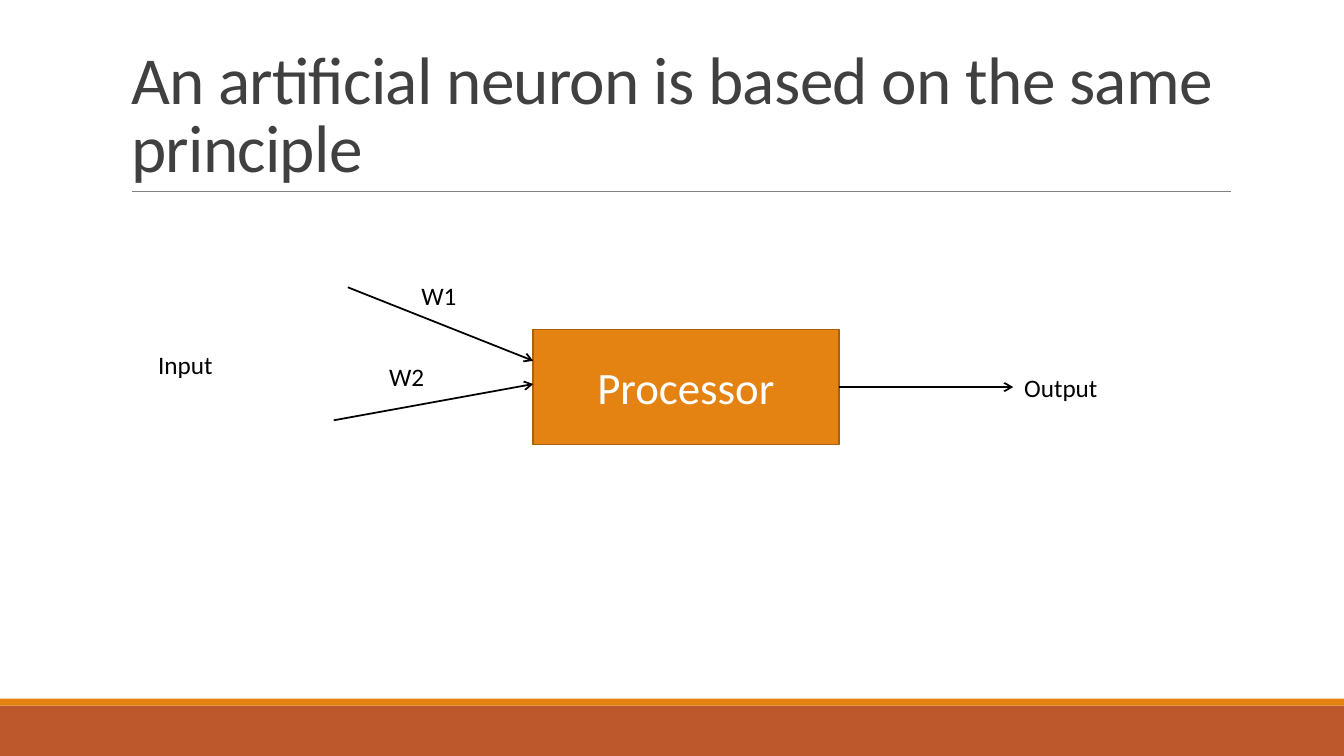
from dataclasses import dataclass

from lxml.etree import SubElement
from pptx import Presentation
from pptx.dml.color import RGBColor
from pptx.enum.shapes import MSO_CONNECTOR, MSO_SHAPE
from pptx.enum.text import MSO_ANCHOR, MSO_AUTO_SIZE, PP_ALIGN
from pptx.oxml.ns import qn
from pptx.shapes.autoshape import Shape
from pptx.shapes.connector import Connector
from pptx.slide import Slide
from pptx.text.text import TextFrame
from pptx.util import Inches, Pt

WIDTH, HEIGHT = Inches(13.333), Inches(7.5)
FONT = "Calibri"
ORANGE = RGBColor(0xE4, 0x83, 0x12)
DARK_ORANGE = RGBColor(0xA9, 0x61, 0x0D)
RUST = RGBColor(0xBD, 0x58, 0x2C)
GREY = RGBColor(0x80, 0x80, 0x80)
CHARCOAL = RGBColor(0x40, 0x40, 0x40)
BLACK = RGBColor(0, 0, 0)
WHITE = RGBColor(0xFF, 0xFF, 0xFF)


@dataclass(frozen=True)
class Area:
    """A rectangle in percent of the slide's width and height."""
    left: float
    top: float
    width: float
    height: float

    def emu(self) -> tuple[int, int, int, int]:
        return (across(self.left), down(self.top),
                across(self.width), down(self.height))


@dataclass(frozen=True)
class Stroke:
    """A line between two points in percent of the slide's size."""
    start: tuple[float, float]
    end: tuple[float, float]
    color: RGBColor = BLACK
    weight: float = 1.25
    arrow: bool = True


@dataclass(frozen=True)
class Label:
    text: str
    area: Area
    wrap: bool = False


def across(percent: float) -> int:
    return round(WIDTH * percent / 100)


def down(percent: float) -> int:
    return round(HEIGHT * percent / 100)


TITLE = Area(9, 4.13, 82.52, 21.2)
PROCESSOR = Area(39.68, 43.6, 22.73, 15.2)
INPUT_SIDE = PROCESSOR.left
OUTPUT_SIDE = PROCESSOR.left + PROCESSOR.width
MIDDLE = PROCESSOR.top + PROCESSOR.height / 2

FOOTER_BANDS = [(Area(0, 93.33, 100, 6.67), RUST), (Area(0, 92.4, 100, 0.93), ORANGE)]
TITLE_RULE = Stroke((9.83, 25.33), (91.6, 25.33), GREY, 0.5, arrow=False)
INPUT_ARROWS = [
    Stroke((25.88, 38), (INPUT_SIDE, 47.73)),
    Stroke((24.83, 55.6), (INPUT_SIDE, 50.8)),
]
OUTPUT_ARROW = Stroke((OUTPUT_SIDE, MIDDLE), (75.39, MIDDLE))
LABELS = [
    Label("Input", Area(11.03, 45.6, 5.63, 5.33)),
    Label("Output", Area(75.47, 48.53, 7.05, 5.33)),
    Label("W2", Area(28.21, 47.07, 4.13, 5.33)),
    Label("W1", Area(30.61, 36.4, 4.35, 5.33), wrap=True),
]


def write(frame: TextFrame, text: str, *, size: float = 18, color: RGBColor = BLACK,
          align: PP_ALIGN = PP_ALIGN.LEFT, anchor: MSO_ANCHOR = MSO_ANCHOR.TOP,
          wrap: bool = True, fit: MSO_AUTO_SIZE = MSO_AUTO_SIZE.NONE,
          line_spacing: float | None = None, tracking: float | None = None) -> None:
    frame.word_wrap = wrap
    frame.auto_size = fit
    frame.vertical_anchor = anchor
    paragraph = frame.paragraphs[0]
    paragraph.alignment = align
    paragraph.line_spacing = line_spacing
    run = paragraph.add_run()
    run.text = text
    run.font.name = FONT
    run.font.size = Pt(size)
    run.font.color.rgb = color
    if tracking is not None:
        run.font._element.set("spc", str(round(tracking * 100)))


def add_block(slide: Slide, area: Area, fill: RGBColor,
              outline: RGBColor | None = None) -> Shape:
    block = slide.shapes.add_shape(MSO_SHAPE.RECTANGLE, *area.emu())
    block.shadow.inherit = False
    block.fill.solid()
    block.fill.fore_color.rgb = fill
    if outline is None:
        block.line.fill.background()
    else:
        block.line.color.rgb = outline
        block.line.width = Pt(1.25)
    return block


def add_stroke(slide: Slide, stroke: Stroke) -> Connector:
    (x1, y1), (x2, y2) = stroke.start, stroke.end
    connector = slide.shapes.add_connector(
        MSO_CONNECTOR.STRAIGHT, across(x1), down(y1), across(x2), down(y2))
    connector.line.color.rgb = stroke.color
    connector.line.width = Pt(stroke.weight)
    if stroke.arrow:
        SubElement(connector.line._get_or_add_ln(), qn("a:tailEnd"), type="arrow")
    SubElement(connector._element.spPr, qn("a:effectLst"))
    return connector


def add_label(slide: Slide, label: Label) -> None:
    box = slide.shapes.add_textbox(*label.area.emu())
    write(box.text_frame, label.text, wrap=label.wrap,
          fit=MSO_AUTO_SIZE.SHAPE_TO_FIT_TEXT)


def main() -> None:
    deck = Presentation()
    deck.slide_width, deck.slide_height = WIDTH, HEIGHT
    slide = deck.slides.add_slide(deck.slide_layouts.get_by_name("Title Only"))

    for area, fill in FOOTER_BANDS:
        add_block(slide, area, fill)
    add_stroke(slide, TITLE_RULE)

    title = slide.shapes.title
    title.left, title.top, title.width, title.height = TITLE.emu()
    write(title.text_frame, "An artificial neuron is based on the same principle",
          size=48, color=CHARCOAL, anchor=MSO_ANCHOR.BOTTOM,
          line_spacing=0.85, tracking=-0.5)

    processor = add_block(slide, PROCESSOR, ORANGE, DARK_ORANGE)
    write(processor.text_frame, "Processor", size=32, color=WHITE,
          align=PP_ALIGN.CENTER, anchor=MSO_ANCHOR.MIDDLE)

    for arrow in INPUT_ARROWS:
        add_stroke(slide, arrow)
    add_stroke(slide, OUTPUT_ARROW).begin_connect(processor, 3)

    for label in LABELS:
        add_label(slide, label)

    deck.save("out.pptx")


if __name__ == "__main__":
    main()
